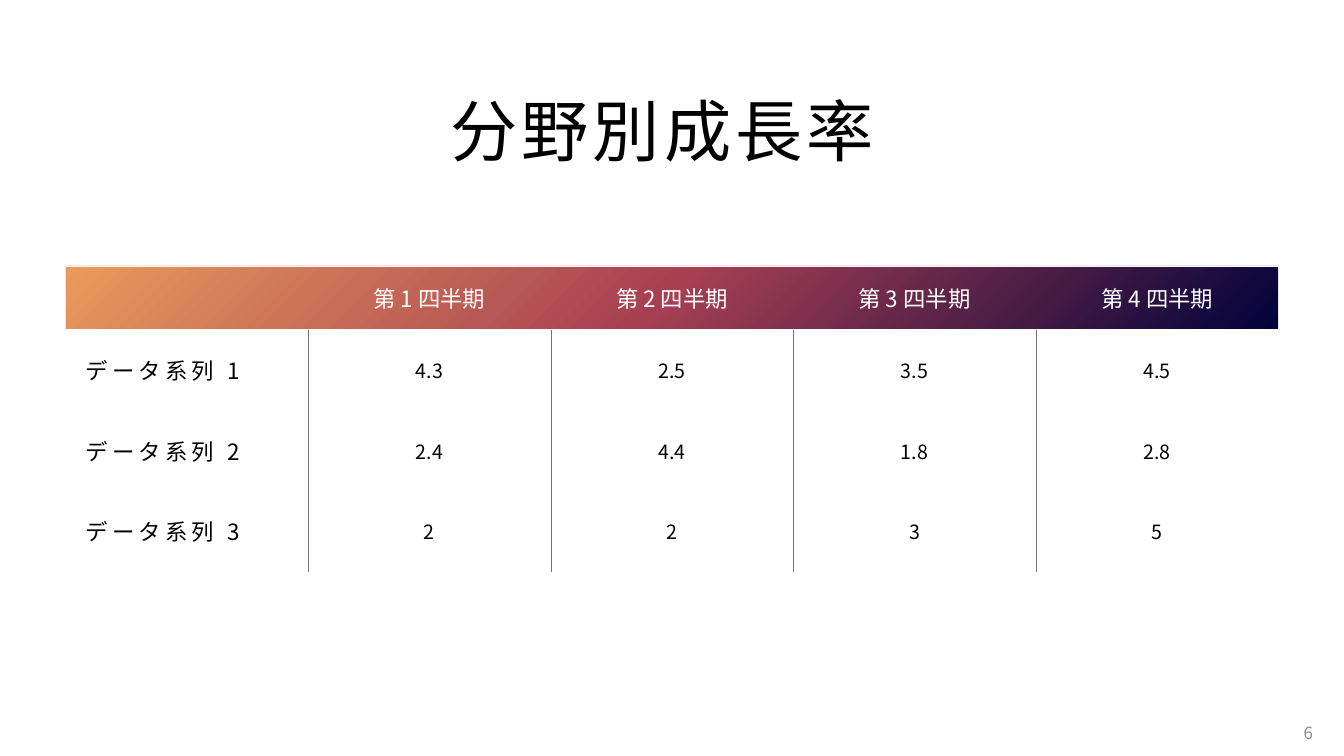
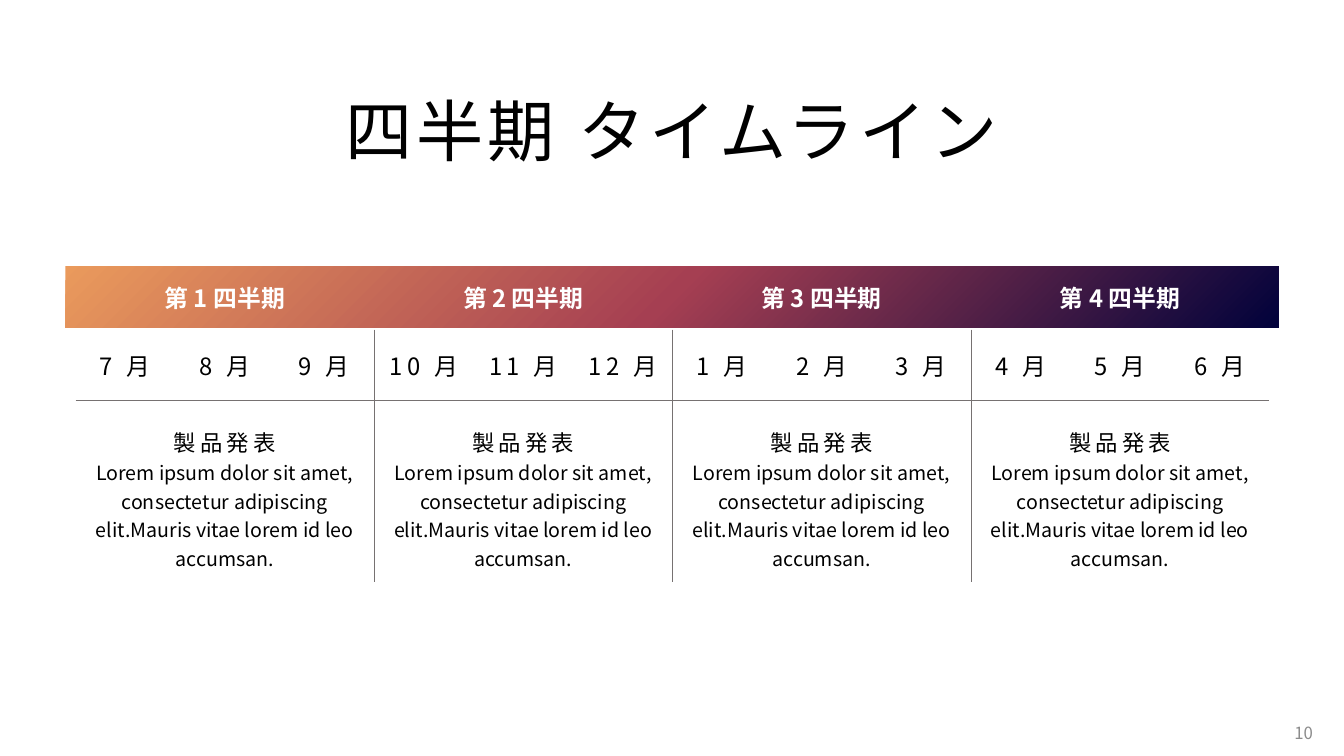
from pptx import Presentation
from pptx.dml.color import RGBColor
from pptx.enum.shapes import MSO_SHAPE
from pptx.enum.text import MSO_ANCHOR, PP_ALIGN
from pptx.oxml import parse_xml
from pptx.oxml.ns import nsdecls, qn
from pptx.util import Inches, Pt

FONT = "Noto Sans CJK JP"
BLACK, WHITE, GRAY = "000000", "FFFFFF", "8C8C8C"
RULE = ("767171", 0.25)
PALE_RULE = ("E7E6E6", 0.5)
GRADIENT = [(0, "01023B"), (50, "A53F52"), (100, "EA9A5C")]
NO_GRID_STYLE = "{2D5ABB26-0587-4C30-8999-92F81FD0307C}"
LEFT, WIDTH = 0.65, 12.03

TITLE = {"size": Pt(48), "color": BLACK, "spacing": 3}
NUMBER = {"size": Pt(12), "color": GRAY}
HEADER = {"size": Pt(16), "color": WHITE}
BOLD_HEADER = {"size": Pt(17), "color": WHITE, "bold": True}
LABEL = {"size": Pt(16), "color": BLACK, "spacing": 3}
MONTH = {"size": Pt(17), "color": BLACK, "spacing": 3}
BODY = {"size": Pt(14), "color": BLACK}


def rgb(value):
    return RGBColor.from_string(value)


def write_lines(frame, lines, align=PP_ALIGN.CENTER):
    """Write (text, format) pairs as paragraphs of a text frame."""
    for index, (text, style) in enumerate(lines):
        paragraph = frame.add_paragraph() if index else frame.paragraphs[0]
        paragraph.alignment = align
        run = paragraph.add_run()
        run.text = text
        run.font.name = FONT
        for name, value in style.items():
            if name == "color":
                run.font.color.rgb = rgb(value)
            elif name == "spacing":
                run._r.get_or_add_rPr().set("spc", str(value * 100))
            elif name == "line_spacing":
                paragraph.line_spacing = value
            else:
                setattr(run.font, name, value)
        latin = run._r.get_or_add_rPr().find(qn("a:latin"))
        latin.addnext(parse_xml(f'<a:ea {nsdecls("a")} typeface="{FONT}"/>'))


def set_borders(cell, borders):
    """Draw the sides named in borders (L, R, T, B) and clear the others."""
    properties = cell._tc.get_or_add_tcPr()
    for index, side in enumerate("LRTB"):
        color, points = borders.get(side, (None, 0))
        paint = (f'<a:solidFill><a:srgbClr val="{color}"/></a:solidFill>'
                 if color else "<a:noFill/>")
        properties.insert(index, parse_xml(
            f'<a:ln{side} {nsdecls("a")} w="{Pt(points)}">{paint}</a:ln{side}>'))


class Deck:
    """Holds the presentation, its shared style and the current slide."""

    def __init__(self):
        self.presentation = Presentation()
        self.presentation.slide_width = Inches(13.33)
        self.presentation.slide_height = Inches(7.5)
        self.slide = None

    def start_slide(self, title, number, band_top):
        self.slide = self.presentation.slides.add_slide(
            self.presentation.slide_layouts[6])
        self.band(band_top)
        self.text(LEFT, 0.84, WIDTH, 0.9, title, TITLE)
        self.text(12.63, 7.07, 0.49, 0.4, number, NUMBER, PP_ALIGN.RIGHT)

    def text(self, left, top, width, height, text, style,
             align=PP_ALIGN.CENTER):
        box = self.slide.shapes.add_textbox(
            Inches(left), Inches(top), Inches(width), Inches(height))
        frame = box.text_frame
        frame.word_wrap = True
        frame.vertical_anchor = MSO_ANCHOR.MIDDLE
        write_lines(frame, [(text, style)], align)

    def band(self, top):
        """Draw the header band, shaded outwards from its lower right corner."""
        band = self.slide.shapes.add_shape(
            MSO_SHAPE.RECTANGLE, Inches(LEFT), Inches(top),
            Inches(WIDTH), Inches(0.61))
        band.shadow.inherit = False
        band.line.fill.background()
        stops = "".join(
            f'<a:gs pos="{position * 1000}"><a:srgbClr val="{color}"/></a:gs>'
            for position, color in GRADIENT)
        band._element.spPr.find(qn("a:prstGeom")).addnext(parse_xml(
            f'<a:gradFill {nsdecls("a")} rotWithShape="1">'
            f'<a:gsLst>{stops}</a:gsLst><a:path path="circle">'
            '<a:fillToRect l="100000" t="100000"/></a:path></a:gradFill>'))

    def table(self, left, width, row_heights, columns):
        """Add a plain table with equal columns."""
        frame = self.slide.shapes.add_table(
            len(row_heights), columns, Inches(left), Inches(2.63),
            Inches(width), Inches(sum(row_heights)))
        table = frame.table
        table.first_row = table.horz_banding = False
        table._tbl.tblPr.find(qn("a:tableStyleId")).text = NO_GRID_STYLE
        for column in table.columns:
            column.width = Inches(width / columns)
        for row, height in zip(table.rows, row_heights):
            row.height = Inches(height)
        return table

    def cell(self, cell, lines, borders, align=PP_ALIGN.CENTER):
        cell.fill.background()
        cell.vertical_anchor = MSO_ANCHOR.MIDDLE
        write_lines(cell.text_frame, lines, align)
        set_borders(cell, borders)


def side_rules(first, last, columns):
    """Rules on the inner sides of the columns first to last."""
    rules = {}
    if first > 0:
        rules["L"] = RULE
    if last < columns - 1:
        rules["R"] = RULE
    return rules


def build_growth(deck):
    deck.start_slide("分野別成長率 ", "6", 2.65)
    series = [("4.3", "2.5", "3.5", "4.5"),
              ("2.4", "4.4", "1.8", "2.8"),
              ("2", "2", "3", "5")]
    table = deck.table(LEFT, WIDTH, [0.64] + [0.8] * 3, 5)
    for column in range(5):
        borders = {"T": PALE_RULE}
        if column in (0, 4):
            borders["L" if column == 0 else "R"] = PALE_RULE
        lines = [(f"第 {column} 四半期", HEADER)] if column else []
        deck.cell(table.cell(0, column), lines, borders)
    for row, values in enumerate(series, 1):
        label = table.cell(row, 0)
        label.margin_left = Inches(0.2)
        deck.cell(label, [(f"データ系列 {row}", LABEL)],
                  side_rules(0, 0, 5), PP_ALIGN.LEFT)
        for column, value in enumerate(values, 1):
            deck.cell(table.cell(row, column), [(value, BODY)],
                      side_rules(column, column, 5))


def build_timeline(deck):
    deck.start_slide("四半期 タイムライン", "10", 2.64)
    milestone = [
        ("製品発表", {**LABEL, "line_spacing": 1.5}),
        ("Lorem ipsum dolor sit amet, consectetur adipiscing "
         "elit.Mauris vitae lorem id leo accumsan.", BODY)]
    table = deck.table(0.75, 11.84, [0.64, 0.7, 1.8], 12)
    for quarter in range(4):
        first, last = quarter * 3, quarter * 3 + 2
        rules = side_rules(first, last, 12)
        for row in (0, 2):
            table.cell(row, first).merge(table.cell(row, last))
        deck.cell(table.cell(0, first),
                  [(f"第 {quarter + 1} 四半期", BOLD_HEADER)], {})
        deck.cell(table.cell(2, first), milestone, {**rules, "T": RULE})
        for column in range(first, last + 1):
            borders = {"B": RULE}
            if column == first and "L" in rules:
                borders["L"] = RULE
            if column == last and "R" in rules:
                borders["R"] = RULE
            deck.cell(table.cell(1, column),
                      [(f"{(column + 6) % 12 + 1} 月", MONTH)], borders)


def main():
    deck = Deck()
    build_growth(deck)
    build_timeline(deck)
    deck.presentation.save("out.pptx")


if __name__ == "__main__":
    main()
